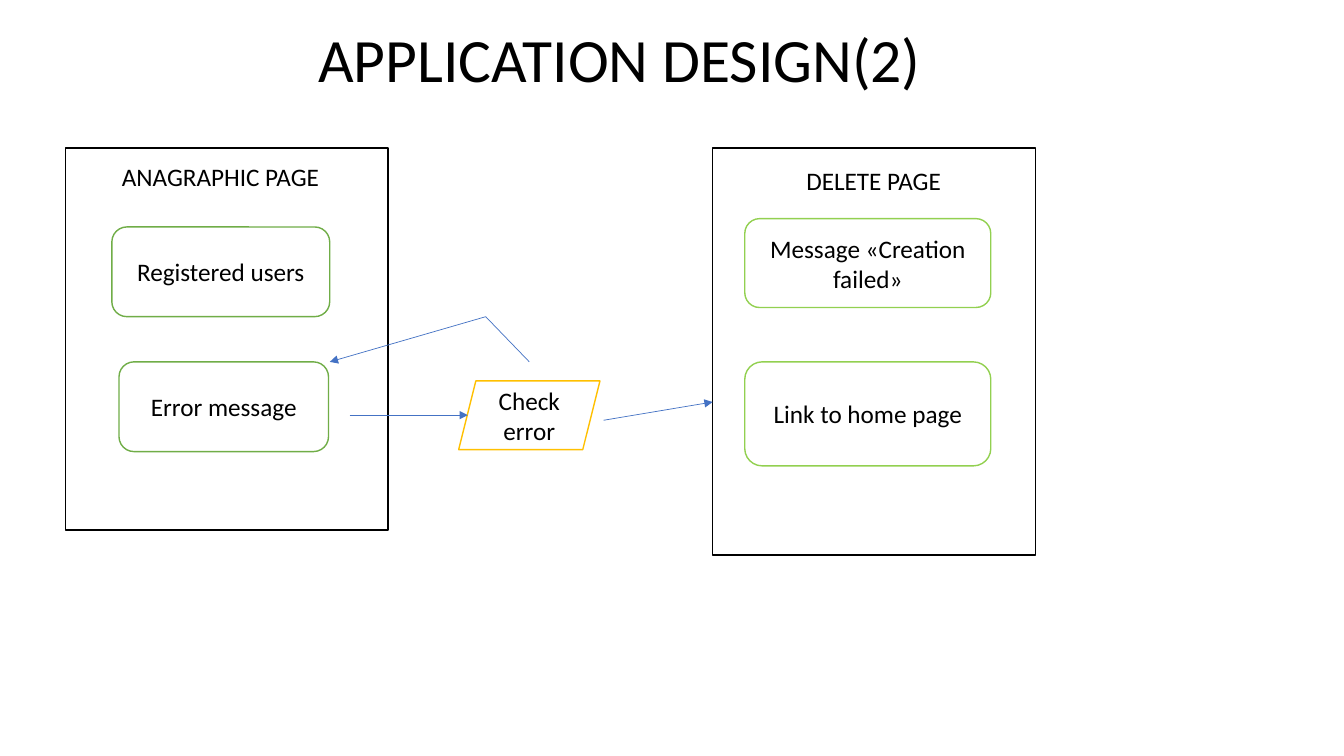
from itertools import pairwise

from lxml.etree import SubElement
from pptx import Presentation
from pptx.dml.color import RGBColor
from pptx.enum.shapes import MSO_CONNECTOR, MSO_SHAPE
from pptx.enum.text import MSO_ANCHOR, PP_ALIGN
from pptx.oxml.ns import qn
from pptx.util import Cm, Pt

FONT = "Calibri"
COLORS = {
    "ink": "000000",
    "paper": "FFFFFF",
    "green": "70AD47",
    "lime": "92D050",
    "gold": "FFC000",
    "blue": "4472C4",
}

# Boxes are left, top, width, height in cm
TITLE = ("APPLICATION DESIGN(2)", (7.77, 0.38, 16.28, 2.39))
PAGES = [
    {
        "frame": (1.65, 3.73, 8.13, 9.63),
        "name": ("ANAGRAPHIC PAGE", (2.82, 3.94, 5.77, 1.02)),
        "color": "green",
        "parts": [
            ("Registered users", (2.82, 5.72, 5.49, 2.26)),
            ("Error message", (3, 9.12, 5.28, 2.26)),
        ],
    },
    {
        "frame": (17.96, 3.73, 8.13, 10.26),
        "name": ("DELETE PAGE", (20.07, 4.04, 6.2, 1.02)),
        "color": "lime",
        "parts": [
            ("Message «Creation failed»", (18.77, 5.51, 6.2, 2.24)),
            ("Link to home page", (18.77, 9.12, 6.2, 2.62)),
        ],
    },
]
CHECK = ("Check error", (11.56, 9.6, 3.56, 1.73))
# Points each arrow runs through, in cm; the head is at the last
ARROWS = [
    [(13.34, 9.12), (12.24, 7.98), (8.31, 9.12)],
    [(8.81, 10.46), (11.79, 10.46)],
    [(15.21, 10.59), (17.96, 10.13)],
]


def cms(nums):
    return [Cm(n) for n in nums]


def rgb(name):
    return RGBColor.from_string(COLORS[name])


def write(frame, text, size=18, align=PP_ALIGN.LEFT):
    frame.text = text
    frame.word_wrap = True
    para = frame.paragraphs[0]
    para.alignment = align
    para.font.name = FONT
    para.font.size = Pt(size)
    para.font.color.rgb = rgb("ink")
    return para


def add_box(kind, box, color, text=None):
    shape = slide.shapes.add_shape(kind, *cms(box))
    shape.shadow.inherit = False
    shape.fill.solid()
    shape.fill.fore_color.rgb = rgb("paper")
    shape.line.color.rgb = rgb(color)
    shape.line.width = Pt(1)
    if text:
        write(shape.text_frame, text, align=PP_ALIGN.CENTER)
        shape.text_frame.vertical_anchor = MSO_ANCHOR.MIDDLE


def add_line(start, end, head):
    line = slide.shapes.add_connector(
        MSO_CONNECTOR.STRAIGHT, *cms(start + end))
    line.line.color.rgb = rgb("blue")
    line.line.width = Pt(0.5)
    props = line._element.spPr
    if head:
        SubElement(props.find(qn("a:ln")), qn("a:tailEnd"), type="triangle")
    SubElement(props, qn("a:effectLst"))


deck = Presentation()
deck.slide_width, deck.slide_height = Cm(33.87), Cm(19.05)
slide = deck.slides.add_slide(deck.slide_layouts[5])

text, box = TITLE
title = slide.shapes.title
title.left, title.top, title.width, title.height = cms(box)
write(title.text_frame, text, 44).line_spacing = 0.9
title.text_frame.vertical_anchor = MSO_ANCHOR.MIDDLE

for page in PAGES:
    add_box(MSO_SHAPE.RECTANGLE, page["frame"], "ink")
    text, box = page["name"]
    write(slide.shapes.add_textbox(*cms(box)).text_frame, text)
    for text, box in page["parts"]:
        add_box(MSO_SHAPE.ROUNDED_RECTANGLE, box, page["color"], text)

text, box = CHECK
add_box(MSO_SHAPE.PARALLELOGRAM, box, "gold", text)
for points in ARROWS:
    for start, end in pairwise(points):
        add_line(start, end, head=end == points[-1])

deck.save("out.pptx")
